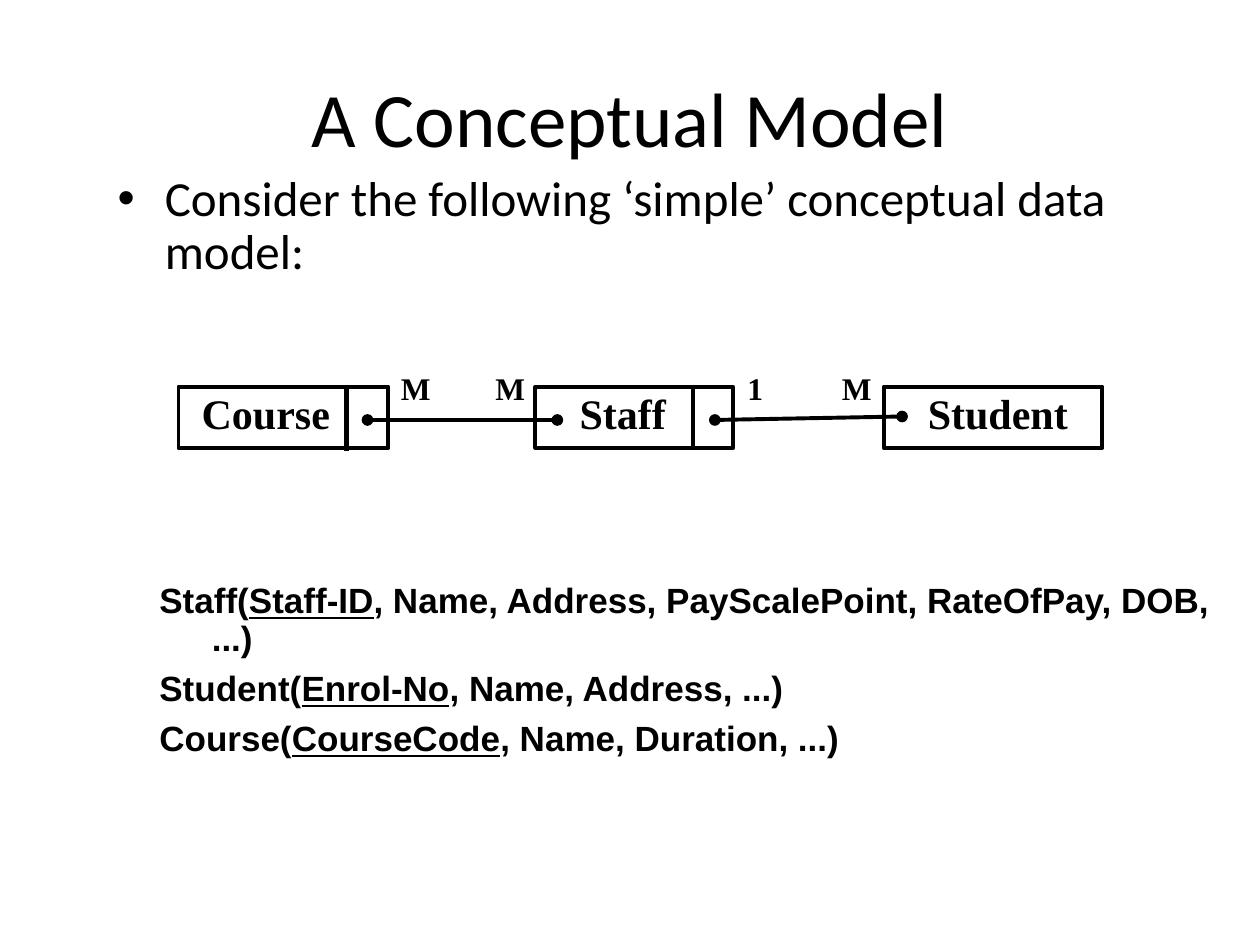
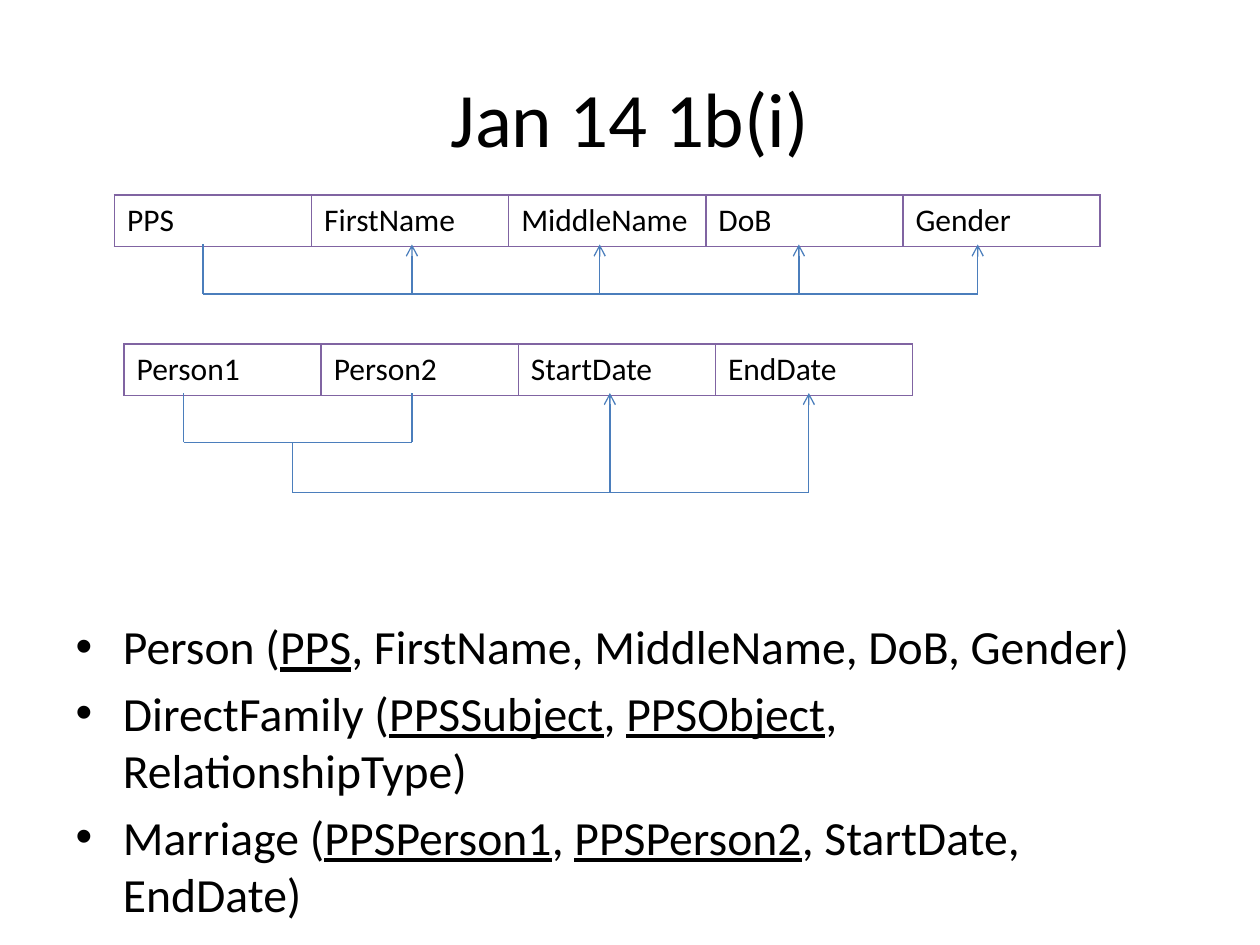
from lxml.etree import SubElement
from pptx import Presentation
from pptx.dml.color import RGBColor
from pptx.enum.shapes import MSO_CONNECTOR as CONN, MSO_SHAPE as SHAPE
from pptx.enum.text import MSO_ANCHOR as ANCHOR, MSO_AUTO_SIZE as AUTO, PP_ALIGN as ALIGN
from pptx.oxml.ns import qn
from pptx.util import Pt

BLACK = RGBColor(0x00, 0x00, 0x00)
BLUE = RGBColor(0x4B, 0x7E, 0xBC)
PURPLE = RGBColor(0x80, 0x64, 0xA2)

TITLE_BOX = (36, 21.6, 648, 90)
TITLE_FONT = dict(name="Calibri", size=Pt(44))
INTRO_FONT = dict(name="Calibri", size=Pt(28))
RELATION_FONT = dict(name="Calibri", size=Pt(27.2))
CELL_FONT = dict(name="Calibri", size=Pt(18))
SCHEMA_FONT = dict(name="Arial", size=Pt(20), bold=True)
ENTITY_FONT = dict(name="Times New Roman", size=Pt(24), bold=True)
COUNT_FONT = dict(name="Times New Roman", size=Pt(18), bold=True)

INTRO = ["Consider the following ‘simple’ conceptual data model:"]
SCHEMAS = [
    "Staff(_Staff-ID_, Name, Address, PayScalePoint, RateOfPay, DOB, ...)",
    "Student(_Enrol-No_, Name, Address, ...)",
    "Course(_CourseCode_, Name, Duration, ...)",
]
ENTITIES = [("Staff", 306, 113, 18), ("Course", 102, 120, 6), ("Student", 505, 125, 18)]
ENTITY_TOP, ENTITY_HEIGHT = 221, 35
COUNTS = [("1", 420, 24), ("M", 474, 32), ("M", 222, 32), ("M", 276, 32)]
LINKS = [(318.5, 240, 210, 240), (408.5, 240, 515.5, 238)]
DIVIDERS = [(198, 222, 198, 258), (396, 222, 396, 256)]

RELATIONS = [
    "Person (_PPS_, FirstName, MiddleName, DoB, Gender)",
    "DirectFamily (_PPSSubject_, _PPSObject_, RelationshipType)",
    "Marriage (_PPSPerson1_, _PPSPerson2_, StartDate, EndDate)",
]
COL_WIDTH, ROW_HEIGHT = 112.65, 29.4
TABLES = [
    (65.4, 111.5, ["PPS", "FirstName", "MiddleName", "DoB", "Gender"]),
    (70.9, 196.6, ["Person1", "Person2", "StartDate", "EndDate"]),
]
DEPENDENCIES = [
    dict(bar=168, stems=[116], stem_top=139.7, arrows=[235.4, 342.7, 456.5, 558.7], arrow_top=139.7),
    dict(bar=252.7, stems=[105, 235.4], stem_top=224.6, arrows=[], arrow_top=224.6),
    dict(bar=281.5, stems=[167], stem_top=252.7, arrows=[348.5, 462.2], arrow_top=224.6),
]


def pts(*values):
    return [Pt(v) for v in values]


def style(font, fmt):
    for key, value in fmt.items():
        setattr(font, key, value)
    font.color.rgb = BLACK


def write(tf, lines, fmt, spacing=None, gap=None, hang=None):
    """Fill a frame with paragraphs; text between underscores is underlined."""
    tf.auto_size = AUTO.NONE
    for i, line in enumerate(lines):
        p = tf.add_paragraph() if i else tf.paragraphs[0]
        if hang:
            pPr = p._p.get_or_add_pPr()
            pPr.set("marL", str(Pt(hang)))
            pPr.set("indent", str(-Pt(hang)))
        if spacing:
            p.line_spacing = spacing
        if i == 0:
            p.space_before = Pt(0)
        elif gap:
            p.space_before = Pt(gap)
        for j, part in enumerate(line.split("_")):
            r = p.add_run()
            r.text = part
            style(r.font, fmt)
            if j % 2:
                r.font.underline = True


def place(sp, box):
    sp.left, sp.top, sp.width, sp.height = pts(*box)


def add_slide(prs, title, body, body_box, fmt, spacing=None):
    s = prs.slides.add_slide(prs.slide_layouts[1])
    place(s.shapes.title, TITLE_BOX)
    tf = s.shapes.title.text_frame
    write(tf, [title], TITLE_FONT)
    tf.vertical_anchor = ANCHOR.MIDDLE
    tf.paragraphs[0].alignment = ALIGN.CENTER
    place(s.placeholders[1], body_box)
    write(s.placeholders[1].text_frame, body, fmt, spacing)
    return s


def add_line(s, ends, color, width, **caps):
    c = s.shapes.add_connector(CONN.STRAIGHT, *pts(*ends))
    c.line.color.rgb = color
    c.line.width = Pt(width)
    spPr = c.element.spPr
    for tag, kind in caps.items():
        SubElement(spPr.find(qn("a:ln")), qn("a:" + tag), type=kind)
    SubElement(spPr, qn("a:effectLst"))


def add_entity(s, name, left, width, inset):
    sp = s.shapes.add_shape(SHAPE.RECTANGLE, *pts(left, ENTITY_TOP, width, ENTITY_HEIGHT))
    sp.shadow.inherit = False
    sp.fill.background()
    sp.line.color.rgb = BLACK
    sp.line.width = Pt(2.25)
    tf = sp.text_frame
    tf.margin_left = Pt(7.2 + inset)
    tf.vertical_anchor = ANCHOR.TOP
    write(tf, [name], ENTITY_FONT, 0.9)
    tf.paragraphs[0].alignment = ALIGN.LEFT


def add_text(s, lines, box, fmt, wrap, **layout):
    tf = s.shapes.add_textbox(*pts(*box)).text_frame
    write(tf, lines, fmt, 0.9, **layout)
    tf.word_wrap = wrap


def add_attributes(s, left, top, names):
    box = pts(left, top, COL_WIDTH * len(names), ROW_HEIGHT)
    table = s.shapes.add_table(1, len(names), *box).table
    table.first_row = table.horz_banding = False
    for i, name in enumerate(names):
        table.columns[i].width = Pt(COL_WIDTH)
        cell = table.cell(0, i)
        cell.text = name
        style(cell.text_frame.paragraphs[0].runs[0].font, CELL_FONT)
        tcPr = cell._tc.get_or_add_tcPr()
        for side in ("lnL", "lnR", "lnT", "lnB"):
            ln = SubElement(tcPr, qn("a:" + side), w=str(Pt(1)))
            SubElement(SubElement(ln, qn("a:solidFill")), qn("a:srgbClr"), val=str(PURPLE))
        cell.fill.background()


def add_dependency(s, bar, stems, stem_top, arrows, arrow_top):
    xs = stems + arrows
    add_line(s, (min(xs), bar, max(xs), bar), BLUE, 0.75)
    for x in stems:
        add_line(s, (x, bar, x, stem_top), BLUE, 0.75)
    for x in arrows:
        add_line(s, (x, bar, x, arrow_top), BLUE, 0.75, tailEnd="arrow")


def conceptual_model(prs):
    s = add_slide(prs, "A Conceptual Model", INTRO, (60, 96, 642, 72), INTRO_FONT, 0.9)
    add_text(s, SCHEMAS, (84, 330, 618, 126), SCHEMA_FONT, True, gap=7, hang=30)
    for entity in ENTITIES:
        add_entity(s, *entity)
    for ends in LINKS:
        add_line(s, ends, BLACK, 2.25, headEnd="oval", tailEnd="oval")
    for count, left, width in COUNTS:
        add_text(s, [count], (left, 210, width, 27), COUNT_FONT, False)
    for ends in DIVIDERS:
        add_line(s, ends, BLACK, 2.5)


def exam_answer(prs):
    s = add_slide(prs, "Jan 14 1b(i)", RELATIONS, (36, 349, 648, 133), RELATION_FONT)
    for table in TABLES:
        add_attributes(s, *table)
    for dependency in DEPENDENCIES:
        add_dependency(s, **dependency)


def main():
    prs = Presentation()
    prs.slide_width, prs.slide_height = pts(720, 540)
    conceptual_model(prs)
    exam_answer(prs)
    prs.save("out.pptx")


if __name__ == "__main__":
    main()
